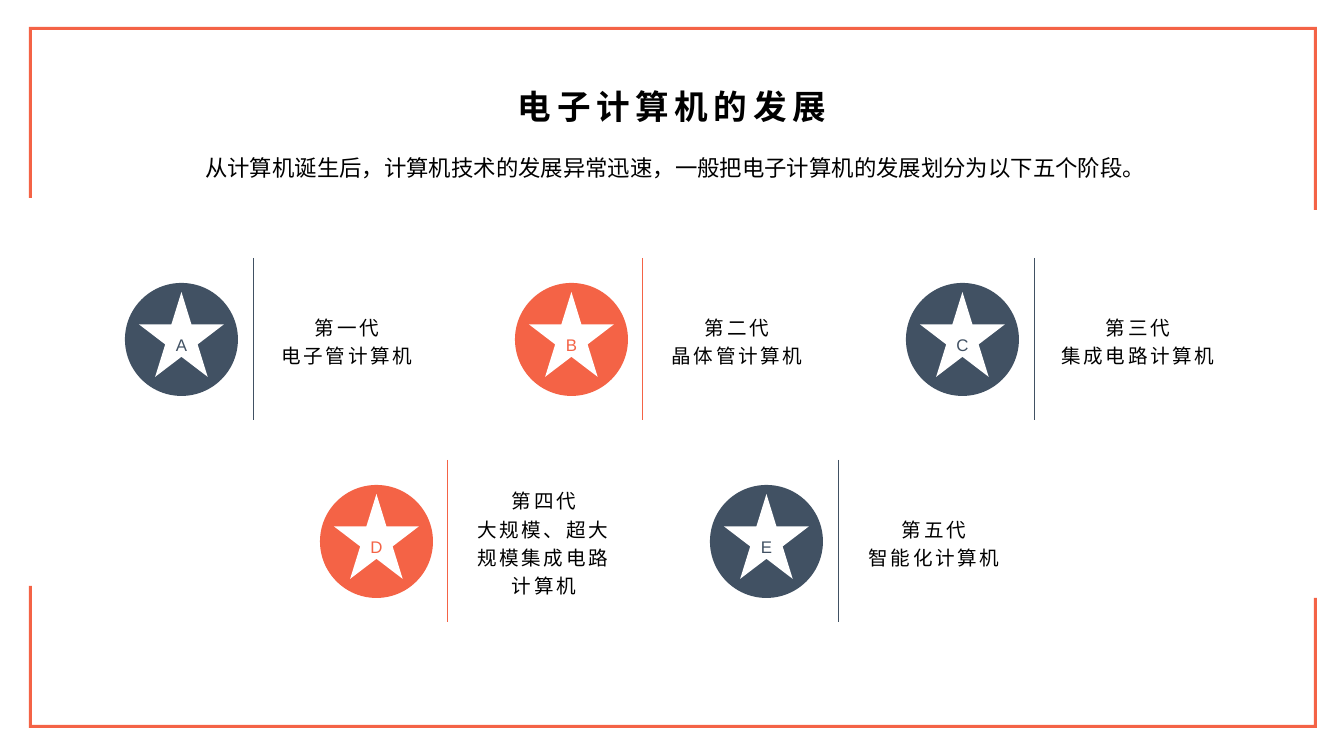
"""Build a slide on the five generations of electronic computers."""
from pptx import Presentation
from pptx import util as u
from pptx.dml.color import RGBColor
from pptx.enum import shapes, text
from pptx.oxml.ns import qn
from lxml import etree

PX = 914400 / 134.4
COLORS = {"navy": "415163", "coral": "F46346", "white": "FFFFFF", "black": "000000"}
TITLE = dict(font=dict(name="Arial", size=u.Pt(18), bold=True), spc=300)
INTRO = dict(font=dict(name="Calibri", size=u.Pt(12)), spacing=1.0,
             align=text.PP_ALIGN.LEFT, anchor=text.MSO_ANCHOR.TOP, wrap=False)
LABEL = dict(font=dict(name="Arial", size=u.Pt(10.5)), spc=150)
LETTER = dict(font=dict(name="Arial", size=u.Pt(9)), spc=150, spacing=1.4,
              inset=0, wrap=False)
FRAME = [
    [(29, 586), (32, 586), (32, 725), (1314, 725), (1314, 598), (1317, 598),
     (1317, 728), (29, 728)],
    [(29, 27), (1317, 27), (1317, 210), (1314, 210), (1314, 30), (32, 30),
     (32, 198), (29, 198)],
]
STAGES = [
    ("A", 0, 0, "navy", 164, ["第一代", "电子管计算机"]),
    ("B", 2, 0, "coral", 164, ["第二代", "晶体管计算机"]),
    ("C", 4, 0, "navy", 184, ["第三代", "集成电路计算机"]),
    ("D", 1, 1, "coral", 168, ["第四代", "大规模、超大规模集成电路计算机"]),
    ("E", 3, 1, "navy", 168, ["第五代", "智能化计算机"]),
]


def emu(*lengths):
    return [u.Emu(round(n * PX)) for n in lengths]


def rgb(name):
    return RGBColor.from_string(COLORS[name])


class Deck:
    """Hold the style and the current slide, and draw each kind of element."""

    def __init__(self, width, height):
        self.prs = Presentation()
        self.prs.slide_width, self.prs.slide_height = emu(width, height)
        self.s = self.prs.slides.add_slide(self.prs.slide_layouts[5])

    def fill_text(self, sp, lines, font, color="black", spc=0, spacing=1.2, inset=None,
                  align=text.PP_ALIGN.CENTER, anchor=text.MSO_ANCHOR.MIDDLE, wrap=True):
        tf = sp.text_frame
        frame = dict(auto_size=text.MSO_AUTO_SIZE.NONE, word_wrap=wrap,
                     vertical_anchor=anchor)
        if inset is not None:
            for side in ("left", "top", "right", "bottom"):
                frame[f"margin_{side}"] = inset
        for key, value in frame.items():
            setattr(tf, key, value)
        for i, line in enumerate(lines):
            p = tf.add_paragraph() if i else tf.paragraphs[0]
            p.alignment, p.line_spacing = align, spacing
            r = p.add_run()
            r.text = line
            for key, value in font.items():
                setattr(r.font, key, value)
            r.font.color.rgb = rgb(color)
            if spc:
                r._r.get_or_add_rPr().set("spc", str(spc))

    def paint(self, sp, color):
        sp.shadow.inherit = False
        sp.fill.solid()
        sp.fill.fore_color.rgb = rgb(color)
        sp.line.fill.background()
        return sp

    def title(self, line, x, y, w, h):
        sp = self.s.shapes.title
        sp.left, sp.top, sp.width, sp.height = emu(x, y, w, h)
        self.fill_text(sp, [line], **TITLE)

    def textbox(self, lines, x, y, w, h, style):
        self.fill_text(self.s.shapes.add_textbox(*emu(x, y, w, h)), lines, **style)

    def shape(self, kind, x, y, size, color):
        sp = self.s.shapes.add_shape(kind, *emu(x, y, size, size))
        return self.paint(sp, color)

    def outline(self, contours, color):
        builder = self.s.shapes.build_freeform(*contours[0][0], scale=PX)
        for i, points in enumerate(contours):
            if i:
                builder.move_to(*points[0])
            builder.add_line_segments(points[1:], close=True)
        self.paint(builder.convert_to_shape(), color)

    def divider(self, x, top, bottom, color):
        line = self.s.shapes.add_connector(
            shapes.MSO_CONNECTOR.STRAIGHT, *emu(x, top, x, bottom))
        line.line.color.rgb, line.line.width = rgb(color), u.Pt(0.5)
        etree.SubElement(line._element.spPr, qn("a:effectLst"))

    def stage(self, letter, column, row, color, width, lines):
        x, y = 125 + 781 * column // 4, 283 + 202 * row
        self.shape(shapes.MSO_SHAPE.OVAL, x, y, 113, color)
        star = self.shape(shapes.MSO_SHAPE.STAR_5_POINT, x + 14, y + 9, 85, "white")
        self.fill_text(star, [letter], color=color, **LETTER)
        self.divider(x + 128, y - 25, y + 137, color)
        self.textbox(lines, x + 140, y - 18, width, 148, LABEL)


def main():
    deck = Deck(1344, 756)
    deck.outline(FRAME, "coral")
    deck.title("电子计算机的发展", 429, 67, 486, 71)
    deck.textbox(["从计算机诞生后，计算机技术的发展异常迅速，一般把电子计算机的发展划分为以下五个阶段。"],
                 192, 148, 968, 40, INTRO)
    for stage in STAGES:
        deck.stage(*stage)
    deck.prs.save("out.pptx")


if __name__ == "__main__":
    main()
